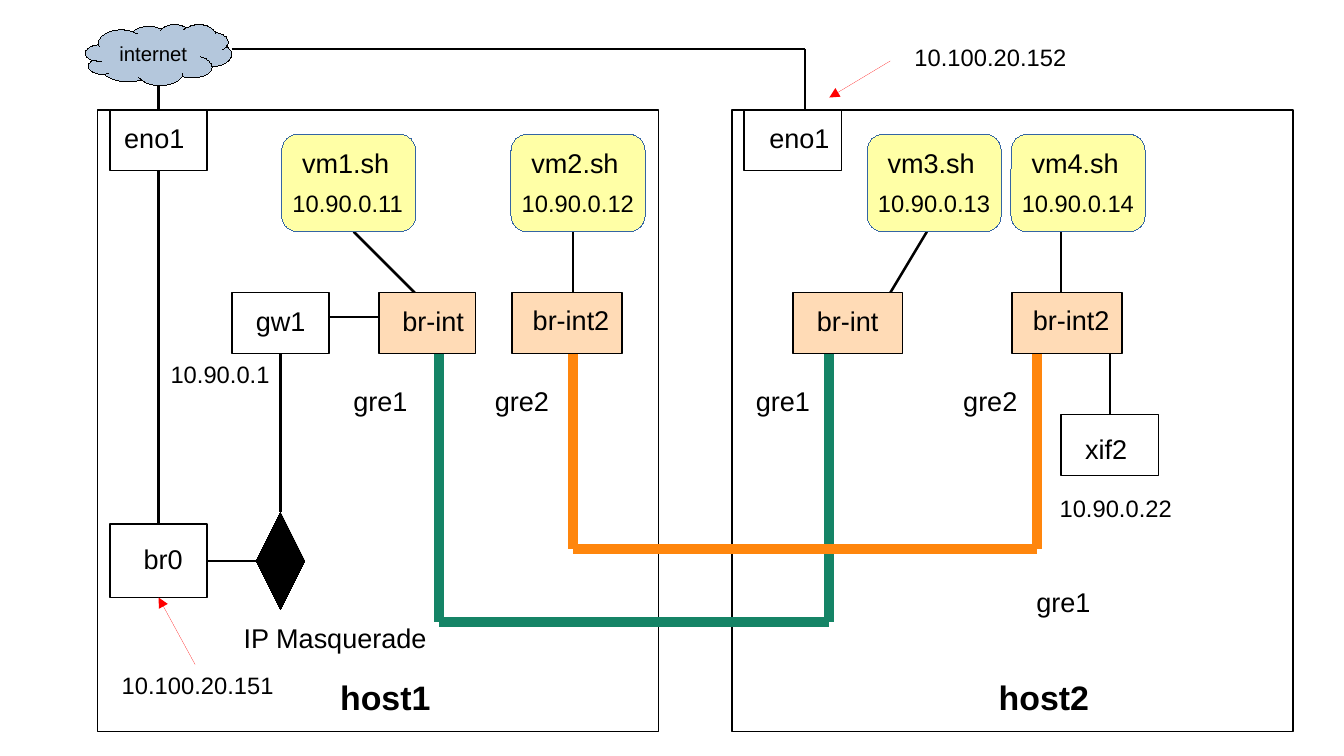
from itertools import pairwise

from lxml import etree
from pptx import Presentation
from pptx.dml.color import RGBColor
from pptx.enum.shapes import MSO_CONNECTOR, MSO_SHAPE
from pptx.enum.text import MSO_ANCHOR, MSO_AUTO_SIZE, PP_ALIGN
from pptx.oxml.ns import qn
from pptx.util import Inches, Pt

RECT = MSO_SHAPE.RECTANGLE
ROUNDED = MSO_SHAPE.ROUNDED_RECTANGLE
DIAMOND = MSO_SHAPE.DIAMOND
CLOUD = MSO_SHAPE.CLOUD
STRAIGHT = MSO_CONNECTOR.STRAIGHT
FIT_TEXT = MSO_AUTO_SIZE.SHAPE_TO_FIT_TEXT
MIDDLE = MSO_ANCHOR.MIDDLE
CENTER = PP_ALIGN.CENTER

BLACK = RGBColor(0x00, 0x00, 0x00)
WHITE = RGBColor(0xFF, 0xFF, 0xFF)
CLOUD_BLUE = RGBColor(0xB4, 0xC7, 0xDC)
VM_YELLOW = RGBColor(0xFF, 0xFF, 0xA6)
VM_BORDER = RGBColor(0x34, 0x65, 0xA4)
BRIDGE_PEACH = RGBColor(0xFF, 0xDB, 0xB6)
GRE1_GREEN = RGBColor(0x15, 0x84, 0x66)
GRE2_ORANGE = RGBColor(0xFF, 0x86, 0x0D)
POINTER_RED = RGBColor(0xFF, 0x00, 0x00)

HAIRLINE = 0.01

NAME_FONT = {"name": "Arial", "size": Pt(16)}
ADDRESS_FONT = {"name": "Arial", "size": Pt(14)}
CLOUD_FONT = {"name": "Arial", "size": Pt(12)}
HOST_FONT = {"name": "Arial", "size": Pt(20), "bold": True}

HOSTS = [("host1", 0.8, 2.69), ("host2", 6, 8.09)]  # name, frame left, name left

WIRES = [
    [(1.3, 0.7), (1.3, 0.9)],
    [(1.3, 1.4), (1.3, 4.3)],
    [(2.3, 2.9), (2.3, 4.2)],
    [(3.11, 2.6), (2.71, 2.6)],
    [(2.3, 4.6), (1.7, 4.6)],
    [(2.9, 1.9), (3.4, 2.4)],
    [(4.7, 1.9), (4.7, 2.4)],
    [(7.6, 1.9), (7.3, 2.4)],
    [(8.7, 1.9), (8.7, 2.4)],
    [(9.1, 2.9), (9.1, 3.4)],
    [(6.6, 0.4), (6.6, 0.9)],
]
GRE1_ROUTE = [(3.6, 2.9), (3.6, 5.1), (5.4, 5.1), (6, 5.1), (6.8, 5.1), (6.8, 2.9)]
GRE2_ROUTE = [(4.7, 2.9), (4.7, 4.5), (8.5, 4.5), (8.5, 2.9)]
POINTERS = [[(1.6, 5.45), (1.3, 4.9)], [(7.3, 0.5), (6.8, 0.8)]]

# name, box (left, top, width, height), fill, name place (left, top, width)
DEVICES = [
    ("eno1", (0.9, 0.9, 0.8, 0.5), WHITE, (0.92, 0.95, 0.72)),
    ("br0", (0.9, 4.3, 0.8, 0.6), WHITE, (1.08, 4.4, 0.55)),
    ("gw1", (1.9, 2.4, 0.8, 0.5), WHITE, (2, 2.45, 0.65)),
    ("br-int", (3.11, 2.4, 0.79, 0.5), BRIDGE_PEACH, (3.2, 2.45, 0.75)),
    ("br-int2", (4.2, 2.4, 0.9, 0.5), BRIDGE_PEACH, (4.27, 2.44, 0.86)),
    ("eno1", (6.1, 0.9, 0.8, 0.5), WHITE, (6.21, 0.95, 0.72)),
    ("br-int", (6.5, 2.4, 0.9, 0.5), BRIDGE_PEACH, (6.6, 2.45, 0.75)),
    ("br-int2", (8.3, 2.4, 0.9, 0.5), BRIDGE_PEACH, (8.37, 2.44, 0.86)),
    ("xif2", (8.7, 3.4, 0.8, 0.5), WHITE, (8.8, 3.5, 0.62)),
]
VM_LEFTS = [2.31, 4.19, 7.11, 8.29]

TUNNEL_NAMES = [
    ("gre1", 2.8, 3.1),
    ("gre2", 3.96, 3.1),
    ("gre1", 6.1, 3.1),
    ("gre2", 7.8, 3.1),
    ("gre1", 8.4, 4.75),
]
ADDRESSES = [
    ("10.90.0.1", 1.3, 2.9, 1.11),
    ("10.90.0.22", 8.59, 4, 1.14),
    ("10.100.20.151", 0.9, 5.45, 1.47),
    ("10.100.20.152", 7.4, 0.3, 1.47),
]


def write(paragraph, text, font_format):
    run = paragraph.add_run()
    run.text = text
    run.font.color.rgb = BLACK
    for attribute, value in font_format.items():
        setattr(run.font, attribute, value)


def add_box(slide, kind, place, fill, border=BLACK, border_width=1):
    box = slide.shapes.add_shape(kind, *map(Inches, place))
    box.shadow.inherit = False
    box.fill.solid()
    box.fill.fore_color.rgb = fill
    box.line.color.rgb = border
    box.line.width = Pt(border_width)
    return box


def add_label(slide, text, left, top, width, font_format=NAME_FONT, height=0.35):
    label = slide.shapes.add_textbox(*map(Inches, (left, top, width, height)))
    frame = label.text_frame
    frame.word_wrap = False
    frame.auto_size = FIT_TEXT
    write(frame.paragraphs[0], text, font_format)


def add_route(slide, points, color=BLACK, width=1.5, arrow=False):
    """Join the points in turn with straight connectors."""
    for start, end in pairwise(points):
        link = slide.shapes.add_connector(STRAIGHT, *map(Inches, start + end))
        link.line.color.rgb = color
        link.line.width = Pt(width)
        if arrow:
            line_xml = link.line._get_or_add_ln()
            etree.SubElement(line_xml, qn("a:tailEnd"), type="triangle")
        etree.SubElement(link._element.spPr, qn("a:effectLst"))


def add_cloud(slide):
    place = (0.7, 0.2, 1.2, 0.5)
    cloud = add_box(slide, CLOUD, place, CLOUD_BLUE, border_width=HAIRLINE)
    frame = cloud.text_frame
    frame.word_wrap = False
    frame.vertical_anchor = MIDDLE
    frame.paragraphs[0].alignment = CENTER
    write(frame.paragraphs[0], "internet", CLOUD_FONT)


def add_vm(slide, number, left):
    add_box(slide, ROUNDED, (left, 1.1, 1.1, 0.8), VM_YELLOW, VM_BORDER, HAIRLINE)
    add_label(slide, f"vm{number}.sh", left + 0.07, 1.15, 0.96)
    add_label(slide, f"10.90.0.{10 + number}", left - 0.01, 1.5, 1.14, ADDRESS_FONT)


def main():
    deck = Presentation()
    deck.slide_width, deck.slide_height = Inches(11.02), Inches(6.2)
    slide = deck.slides.add_slide(deck.slide_layouts[6])

    for name, frame_left, name_left in HOSTS:
        add_box(slide, RECT, (frame_left, 0.9, 4.6, 5.1), WHITE)
        add_label(slide, name, name_left, 5.5, 1.11, HOST_FONT, 0.41)

    add_cloud(slide)
    add_route(slide, [(1.9, 0.4), (6.6, 0.4)], width=1)
    for wire in WIRES:
        add_route(slide, wire)
    add_route(slide, GRE1_ROUTE, GRE1_GREEN, 6)
    add_route(slide, GRE2_ROUTE, GRE2_ORANGE, 6)

    for name, place, fill, name_place in DEVICES:
        add_box(slide, RECT, place, fill)
        add_label(slide, name, *name_place)
    for number, left in enumerate(VM_LEFTS, start=1):
        add_vm(slide, number, left)

    add_box(slide, DIAMOND, (2.1, 4.2, 0.4, 0.8), BLACK, border_width=HAIRLINE)
    add_label(slide, "IP Masquerade", 1.9, 5.05, 1.72)
    for name, left, top in TUNNEL_NAMES:
        add_label(slide, name, left, top, 0.67)
    for address in ADDRESSES:
        add_label(slide, *address, ADDRESS_FONT)
    for pointer in POINTERS:
        add_route(slide, pointer, POINTER_RED, HAIRLINE, arrow=True)

    deck.save("out.pptx")


if __name__ == "__main__":
    main()
